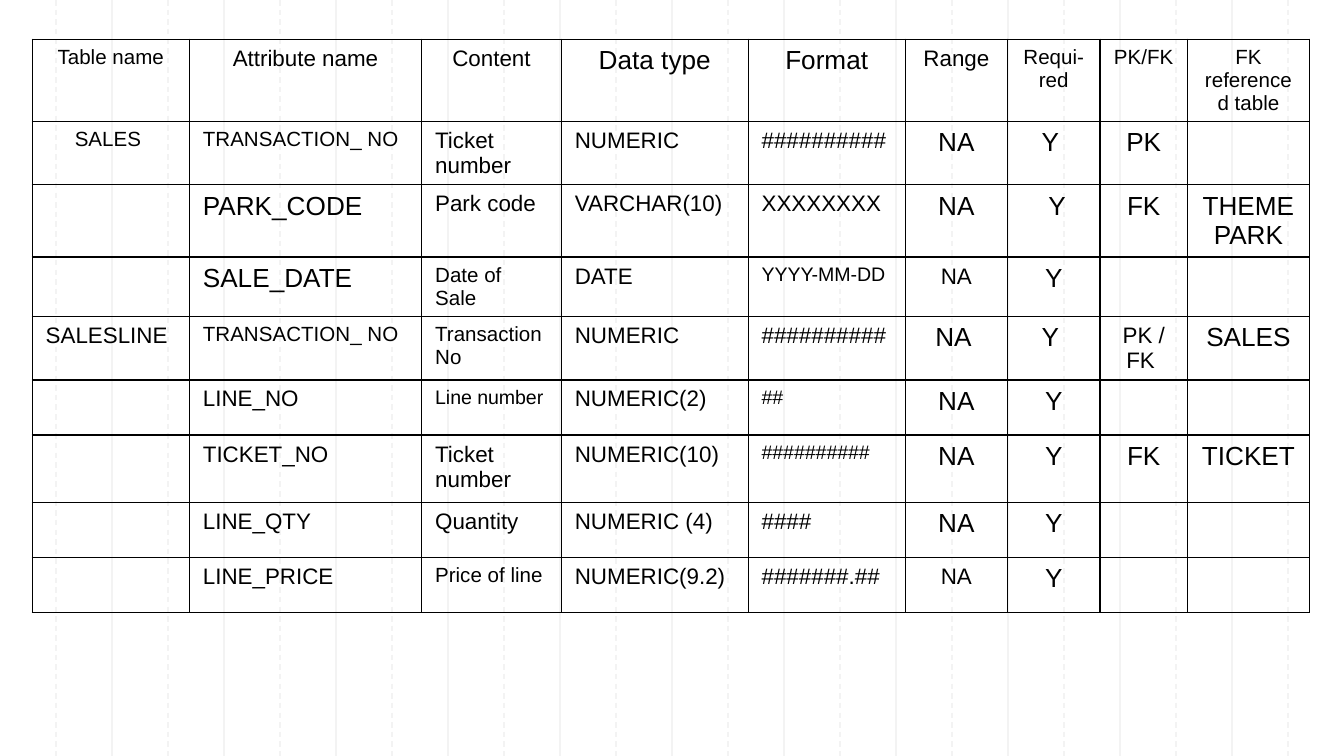
from lxml import etree
from pptx import Presentation
from pptx.dml.color import RGBColor
from pptx.enum.dml import MSO_LINE
from pptx.enum.shapes import MSO_CONNECTOR
from pptx.enum.text import PP_ALIGN
from pptx.oxml.ns import qn
from pptx.util import Cm, Pt

STRAIGHT = MSO_CONNECTOR.STRAIGHT
DASH = MSO_LINE.DASH
LEFT, CENTER = PP_ALIGN.LEFT, PP_ALIGN.CENTER
BLACK = RGBColor(0x00, 0x00, 0x00)
GRID_GRAY = RGBColor(0xF3, 0xF3, 0xF3)
FONT = "Arial"
LINE_WIDTH = Pt(0.75)
GRID_STEPS = 24
EMPTY = ("", 11)

HEADER = [
    ("Table name", 11), ("Attribute name", 12), ("Content", 12),
    ("Data type", 14), ("Format", 14), ("Range", 12),
    ("Requi-red", 11), ("PK/FK", 11), ("FK referenced table", 11),
]
ATTRIBUTES = [
    [("SALES ", 11), ("TRANSACTION_ NO ", 11), ("Ticket number ", 12), ("NUMERIC", 12),
     ("##########", 12), ("NA", 14), ("Y ", 14), ("PK", 14), EMPTY],
    [EMPTY, ("PARK_CODE", 14), ("Park code ", 12), ("VARCHAR(10)", 12),
     ("XXXXXXXX", 12), ("NA", 14), (" Y", 14), ("FK", 14), ("THEME\vPARK", 14)],
    [EMPTY, ("SALE_DATE ", 14), ("Date of Sale ", 11), ("DATE", 12),
     ("YYYY-MM-DD", 10.5), ("NA", 12), ("Y", 14), EMPTY, EMPTY],
    [("SALESLINE ", 12), ("TRANSACTION_ NO ", 11), ("Transaction No ", 11), ("NUMERIC", 12),
     ("##########", 12), ("NA ", 14), ("Y ", 14), ("PK / FK ", 12), ("SALES", 14)],
    [EMPTY, ("LINE_NO", 12), ("Line number ", 10.5), ("NUMERIC(2)", 12),
     ("##", 10.5), ("NA", 14), ("Y", 14), EMPTY, EMPTY],
    [EMPTY, ("TICKET_NO ", 12), ("Ticket number ", 12), ("NUMERIC(10) ", 12),
     ("##########", 10.5), ("NA", 14), ("Y", 14), ("FK", 14), ("TICKET", 14)],
    [EMPTY, ("LINE_QTY", 12), ("Quantity ", 12), ("NUMERIC (4) ", 12),
     ("####", 12), ("NA", 14), ("Y", 14), EMPTY, EMPTY],
    [EMPTY, ("LINE_PRICE ", 12), ("Price of line", 11), ("NUMERIC(9.2)", 12),
     ("#######.##", 12), ("NA", 12), ("Y", 14), EMPTY, EMPTY],
]
ROWS = [HEADER] + ATTRIBUTES
COLUMN_WIDTHS = [2.97, 4.39, 2.64, 3.53, 2.97, 1.93, 1.75, 1.65, 2.31]
ROW_HEIGHTS = [0.94] + [1.04] * 5 + [1.27] + [1.04] * 2
LEFT_COLUMNS = range(1, 5)


def add_grid_line(slide, x, height, dashed):
    connector = slide.shapes.add_connector(STRAIGHT, x, 0, x, height)
    connector.line.color.rgb = GRID_GRAY
    connector.line.width = LINE_WIDTH
    if dashed:
        connector.line.dash_style = DASH
    etree.SubElement(connector._element.spPr, qn("a:effectLst"))


def add_borders(cell):
    properties = cell._tc.get_or_add_tcPr()
    for side in ("a:lnL", "a:lnR", "a:lnT", "a:lnB"):
        border = etree.SubElement(properties, qn(side), w=str(LINE_WIDTH))
        fill = etree.SubElement(border, qn("a:solidFill"))
        etree.SubElement(fill, qn("a:srgbClr"), val=str(BLACK))


def fill_cell(cell, text, size, alignment):
    add_borders(cell)
    cell.fill.background()
    cell.text_frame.text = text
    paragraph = cell.text_frame.paragraphs[0]
    paragraph.alignment = alignment
    paragraph.font.size = Pt(size)
    for run in paragraph.runs:
        run.font.name = FONT
        run.font.size = Pt(size)
        run.font.color.rgb = BLACK


presentation = Presentation()
presentation.slide_width = Cm(25.4)
presentation.slide_height = Cm(14.29)
slide = presentation.slides.add_slide(presentation.slide_layouts[6])

for step in range(1, GRID_STEPS):
    x = presentation.slide_width * step // GRID_STEPS
    add_grid_line(slide, x, presentation.slide_height, step % 2 == 1)

table = slide.shapes.add_table(
    len(ROWS), len(HEADER), Cm(0.61), Cm(0.74),
    Cm(sum(COLUMN_WIDTHS)), Cm(sum(ROW_HEIGHTS))).table
table.first_row = False
table.horz_banding = False
for column, width in zip(table.columns, COLUMN_WIDTHS):
    column.width = Cm(width)
for row, height in zip(table.rows, ROW_HEIGHTS):
    row.height = Cm(height)

for row_index, row in enumerate(ROWS):
    for column_index, (text, size) in enumerate(row):
        is_left = row_index > 0 and column_index in LEFT_COLUMNS or text == "SALESLINE "
        fill_cell(table.cell(row_index, column_index), text, size, LEFT if is_left else CENTER)

presentation.save("out.pptx")
